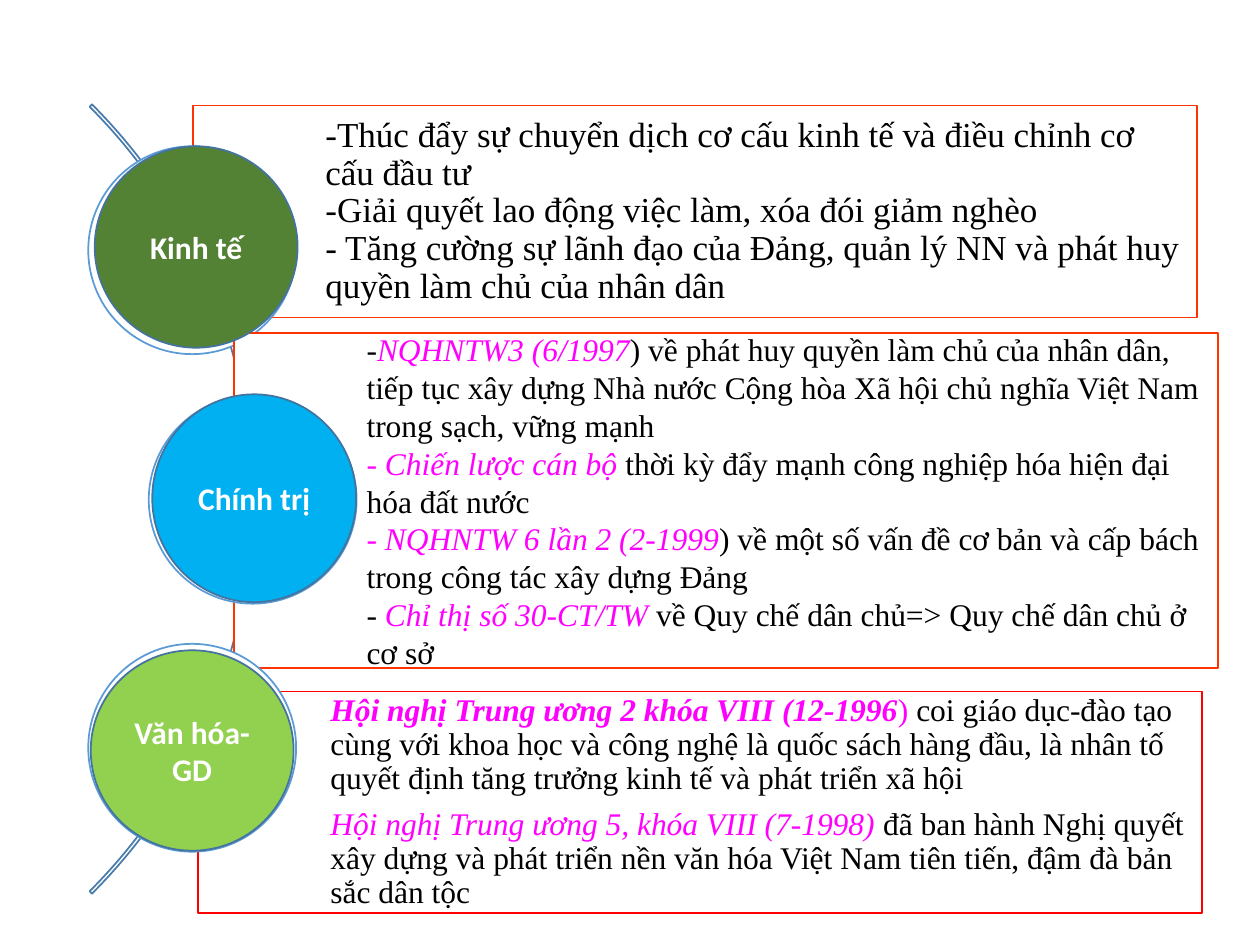
"""Build a slide on economic, political and cultural policy with three labelled circles."""
from pptx import Presentation
from pptx.dml.color import RGBColor
from pptx.enum.shapes import MSO_SHAPE
from pptx.enum.text import MSO_ANCHOR, PP_ALIGN
from pptx.util import Cm, Pt


def add_outlined(kind, box, line, fill=None):
    shape = slide.shapes.add_shape(kind, *[Cm(length) for length in box])
    shape.shadow.inherit = False
    shape.line.color.rgb = RGBColor.from_string(line)
    shape.line.width = Pt(1)
    if fill:
        shape.fill.solid()
        shape.fill.fore_color.rgb = RGBColor.from_string(fill)
    else:
        shape.fill.background()
    shape.text_frame.word_wrap = True
    shape.text_frame.vertical_anchor = MSO_ANCHOR.MIDDLE
    return shape


def add_run(paragraph, text, name, size, color, bold=False, italic=False):
    run = paragraph.add_run()
    run.text = text
    run.font.name = name
    run.font.size = Pt(size)
    run.font.bold = bold
    run.font.italic = italic
    run.font.color.rgb = RGBColor.from_string(color)


BLACK, MAGENTA, WHITE = "000000", "FF00FF", "FFFFFF"
PLAIN = (BLACK, False, False)
ACCENT = (MAGENTA, False, True)
STRONG = (MAGENTA, True, True)
UPRIGHT = (MAGENTA, False, False)
RING_SIZE = 4.19

economy = [
    [("-Thúc đẩy sự chuyển dịch cơ cấu kinh tế và điều chỉnh cơ cấu đầu tư", PLAIN)],
    [("-Giải quyết lao động việc làm, xóa đói giảm nghèo", PLAIN)],
    [("- Tăng cường sự lãnh đạo của Đảng, quản lý NN và phát huy quyền làm chủ của nhân dân", PLAIN)],
]
politics = [
    [("-", PLAIN), ("NQHNTW3 (6/1997", ACCENT),
     (") về phát huy quyền làm chủ của nhân dân, tiếp tục xây dựng Nhà nước Cộng hòa "
      "Xã hội chủ nghĩa Việt Nam trong sạch, vững mạnh", PLAIN)],
    [("- Chiến lược cán bộ", ACCENT),
     (" thời kỳ đẩy mạnh công nghiệp hóa hiện đại hóa đất nước", PLAIN)],
    [("- NQHNTW 6 lần 2 (2-1999", ACCENT),
     (") về một số vấn đề cơ bản và cấp bách trong công tác xây dựng Đảng", PLAIN)],
    [("- ", PLAIN), ("Chỉ thị số 30-CT/TW ", ACCENT),
     ("về Quy chế dân chủ=> Quy chế dân chủ ở cơ sở", PLAIN)],
]
culture = [
    [("Hội nghị Trung ương 2 khóa VIII (12-1996", STRONG), (") ", UPRIGHT),
     ("coi giáo dục-đào tạo cùng với khoa học và công nghệ là quốc sách hàng đầu, "
      "là nhân tố quyết định tăng trưởng kinh tế và phát triển xã hội", PLAIN)],
    [("Hội nghị Trung ương 5, khóa VIII (7-1998) ", ACCENT),
     ("đã ban hành Nghị quyết xây dựng và phát triển nền văn hóa Việt Nam tiên tiến, "
      "đậm đà bản sắc dân tộc", PLAIN)],
]
panels = [
    ((3.89, 2.13, 20.24, 4.27), "FF3300", (1.78, 2.95), economy, 20, 0.9, 0),
    ((4.72, 6.71, 19.84, 6.76), "FF3300", (3, 7.98), politics, 18, 1.0, 0),
    ((3.99, 13.94, 20.24, 4.47), "FF0000", (1.78, 12.98), culture, 18, 0.9, 7),
]
discs = [
    ("Kinh tế", (1.91, 2.95, 4.09, 4.06), "548235"),
    ("Chính trị", (3.07, 7.95, 4.11, 4.19), "00B0F0"),
    ("Văn hóa-GD", (1.83, 13.11, 4.09, 4.04), "92D050"),
]

presentation = Presentation()
presentation.slide_width = Cm(25.4)
presentation.slide_height = Cm(19.05)
slide = presentation.slides.add_slide(presentation.slide_layouts[6])

arc = add_outlined(MSO_SHAPE.BLOCK_ARC, (-17.35, -1.19, 22.5, 22.5), "497CAB")
for index, value in enumerate((189, 27, 0.003)):
    arc.adjustments[index] = value

for box, line, ring_corner, content, size, spacing, space_after in panels:
    panel = add_outlined(MSO_SHAPE.RECTANGLE, box, line, WHITE)
    text_frame = panel.text_frame
    text_frame.margin_left = Cm(2.67)
    text_frame.margin_right = text_frame.margin_top = text_frame.margin_bottom = Cm(0.14)
    for index, runs in enumerate(content):
        paragraph = text_frame.add_paragraph() if index else text_frame.paragraphs[0]
        paragraph.alignment = PP_ALIGN.LEFT
        paragraph.line_spacing = spacing
        paragraph.space_after = Pt(space_after)
        for text, style in runs:
            add_run(paragraph, text, "Times New Roman", size, *style)
    add_outlined(MSO_SHAPE.OVAL, (*ring_corner, RING_SIZE, RING_SIZE), "5B9BD5", WHITE)

for label, box, fill in discs:
    disc = add_outlined(MSO_SHAPE.OVAL, box, "43739E", fill)
    paragraph = disc.text_frame.paragraphs[0]
    paragraph.alignment = PP_ALIGN.CENTER
    add_run(paragraph, label, "Calibri", 18, WHITE, bold=True)

presentation.save("out.pptx")
